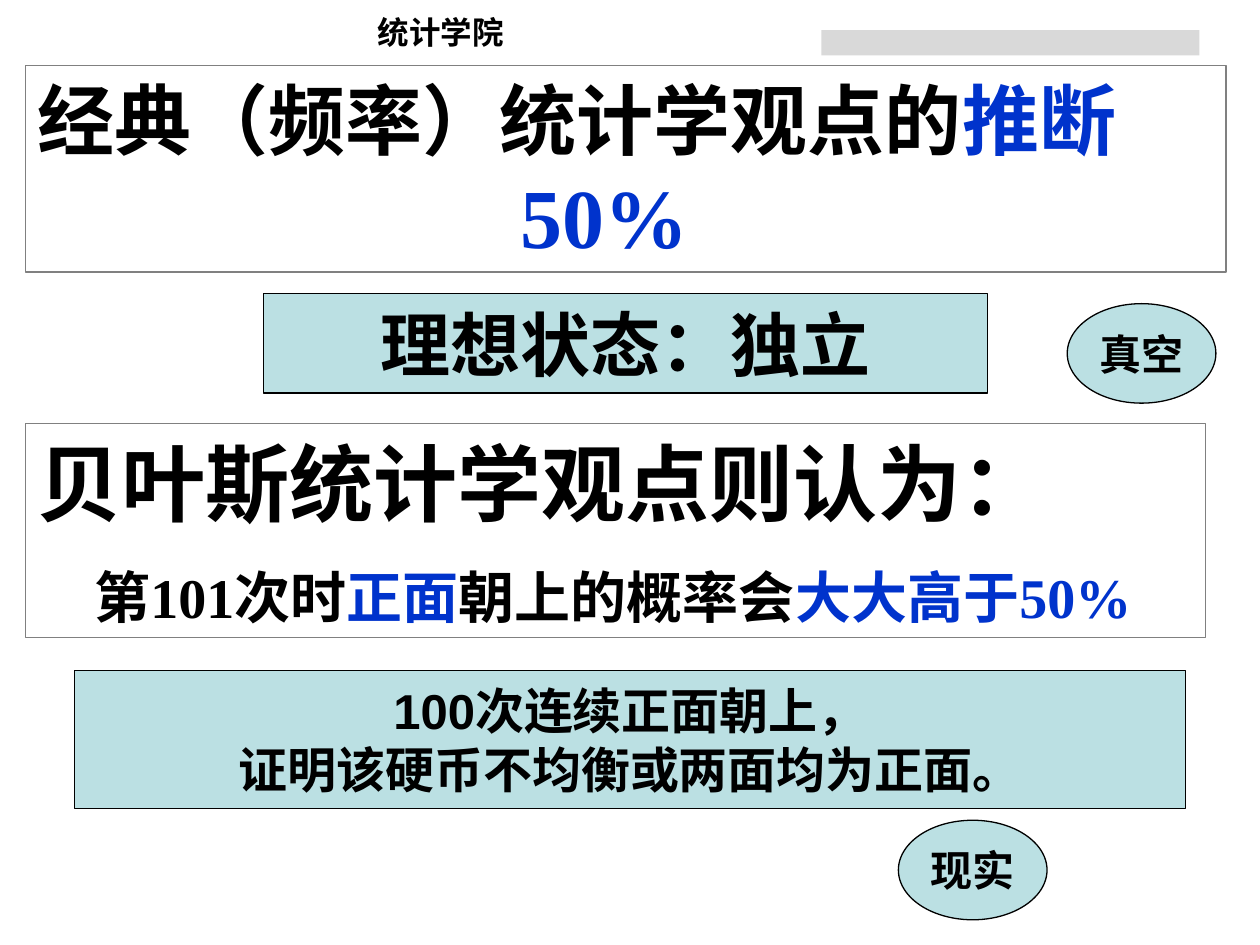
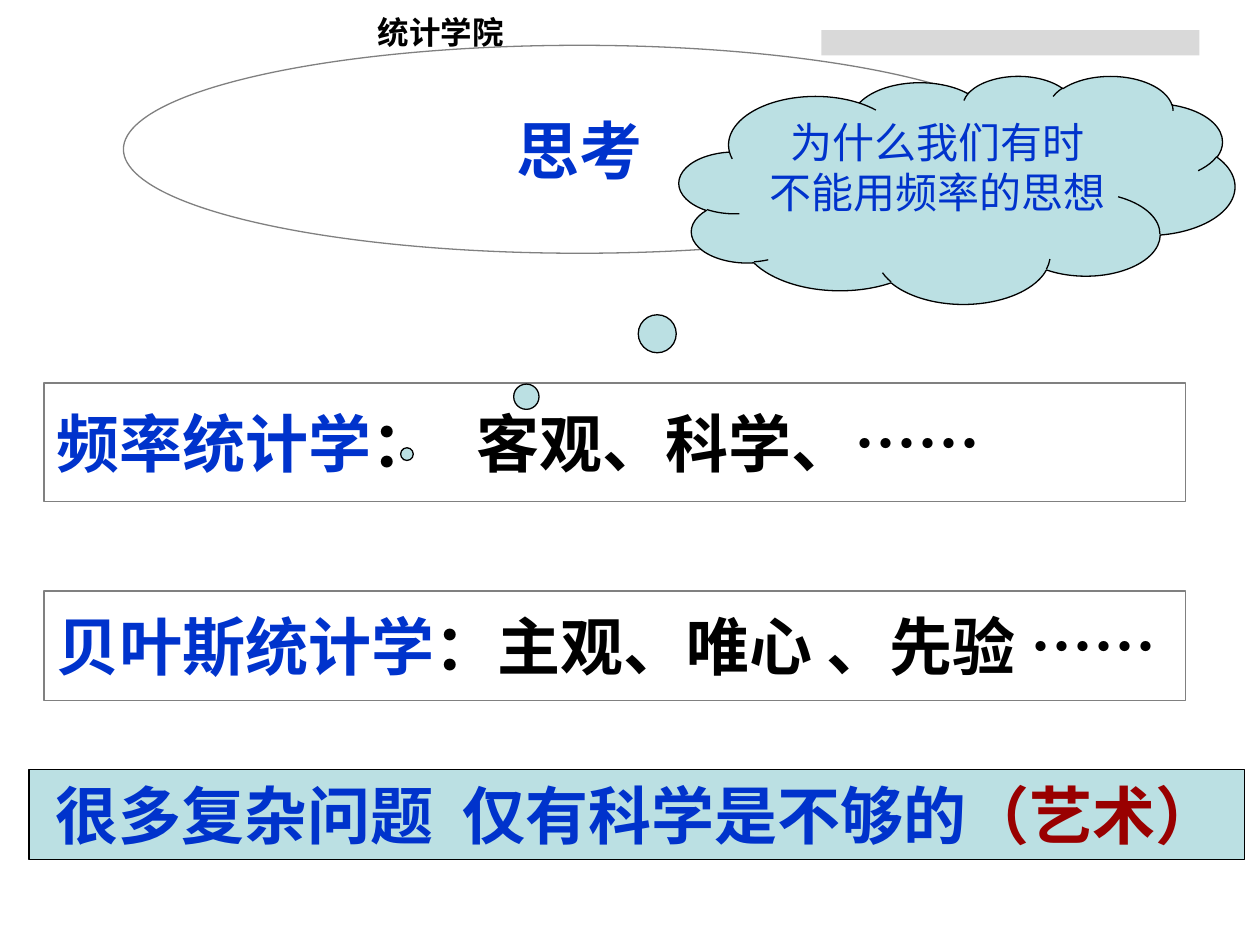
from lxml import etree
from pptx import Presentation
from pptx.dml.color import RGBColor
from pptx.enum.shapes import MSO_SHAPE
from pptx.enum.text import MSO_ANCHOR, PP_ALIGN
from pptx.oxml.ns import qn
from pptx.util import Inches, Pt

RECT = MSO_SHAPE.RECTANGLE
OVAL = MSO_SHAPE.OVAL
CLOUD = MSO_SHAPE.CLOUD_CALLOUT
LEFT, CENTER = PP_ALIGN.LEFT, PP_ALIGN.CENTER
TOP, MIDDLE = MSO_ANCHOR.TOP, MSO_ANCHOR.MIDDLE

COLORS = {
    "ink": "000000",
    "accent": "0033CC",
    "art": "990000",
    "panel": "BBE0E3",
    "frame": "808080",
    "band": "D9D9D9",
}
SANS, SERIF, CJK = "Arial", "Times New Roman", "Noto Sans CJK SC"


def color(key):
    return RGBColor.from_string(COLORS[key])


def add_tab_stop(paragraph, position):
    properties = paragraph._p.get_or_add_pPr()
    stops = etree.SubElement(properties, qn("a:tabLst"))
    etree.SubElement(stops, qn("a:tab"), pos=str(Inches(position)), algn="l")


def write_line(paragraph, parts, size, font=SANS, bold=True, align=LEFT,
               indent=0, before=0, tab=None):
    paragraph.alignment = align
    if indent:
        paragraph._p.get_or_add_pPr().set("marL", str(Inches(indent)))
    if before:
        paragraph.space_before = Pt(before)
    if tab:
        add_tab_stop(paragraph, tab)
    for text, color_key in parts:
        run = paragraph.add_run()
        run.text = text
        run.font.size = Pt(size)
        run.font.bold = bold
        run.font.name = font
        run.font.color.rgb = color(color_key)
        etree.SubElement(run._r.get_or_add_rPr(), qn("a:ea"), typeface=CJK)


def write_lines(shape, lines, align=LEFT, anchor=MIDDLE, inset=0.1):
    frame = shape.text_frame
    frame.word_wrap = align == LEFT
    frame.vertical_anchor = anchor
    frame.margin_left = Inches(inset)
    for index, line in enumerate(lines):
        paragraph = frame.add_paragraph() if index else frame.paragraphs[0]
        write_line(paragraph, align=align, **line)


def add_box(slide, kind, place, lines, filled=False, **layout):
    box = slide.shapes.add_shape(kind, *map(Inches, place))
    box.shadow.inherit = False
    if filled:
        box.fill.solid()
        box.fill.fore_color.rgb = color("panel")
    else:
        box.fill.background()
    box.line.color.rgb = color("ink" if filled else "frame")
    box.line.width = Pt(0.75)
    write_lines(box, lines, **layout)
    return box


def add_panel(slide, kind, place, texts, size, color_key="ink", bold=True, **layout):
    lines = [dict(parts=[(text, color_key)], size=size, bold=bold) for text in texts]
    return add_box(slide, kind, place, lines, filled=True, align=CENTER, **layout)


def add_header(slide):
    band = slide.shapes.add_shape(RECT, *map(Inches, (6.52, 0.24, 3.0, 0.2)))
    band.shadow.inherit = False
    band.fill.solid()
    band.fill.fore_color.rgb = color("band")
    band.line.fill.background()

    school = slide.shapes.add_textbox(*map(Inches, (2.75, 0.07, 1.5, 0.36)))
    write_lines(school, [dict(parts=[("统计学院", "ink")], size=18)], align=CENTER)


def new_slide(deck):
    slide = deck.slides.add_slide(deck.slide_layouts[6])
    add_header(slide)
    return slide


def build_viewpoints(deck):
    slide = new_slide(deck)
    add_box(slide, RECT, (0.2, 0.52, 9.53, 1.64), [
        dict(parts=[("经典（频率）统计学观点的", "ink"), ("推断", "accent")],
             size=44, font=SERIF),
        dict(parts=[("50%", "accent")], size=48, font=SERIF, indent=3.83),
    ])
    add_box(slide, RECT, (0.2, 3.36, 9.37, 1.7), [
        dict(parts=[("贝叶斯统计学观点则认为：", "ink")], size=48, font=SERIF),
        dict(parts=[("第101次时", "ink"), ("正面", "accent"),
                    ("朝上的概率会", "ink"), ("大大高于50%", "accent")],
             size=32, font=SERIF, indent=0.45, before=17),
    ])
    add_panel(slide, RECT, (0.59, 5.32, 8.82, 1.1),
              ["100次连续正面朝上，", "证明该硬币不均衡或两面均为正面。"], 28)
    add_panel(slide, RECT, (2.09, 2.33, 5.75, 0.79), ["理想状态：独立"], 40)
    for label, left, top in (("真空", 8.47, 2.41), ("现实", 7.13, 6.51)):
        add_panel(slide, OVAL, (left, top, 1.18, 0.79), [label], 24)


def build_reflection(deck):
    slide = new_slide(deck)
    add_box(slide, OVAL, (0.98, 0.36, 7.24, 1.65),
            [dict(parts=[("思考", "accent")], size=36)], align=CENTER)
    schools = (
        ("频率统计学", "：\t客观、科学、……", 3.04, 0.94),
        ("贝叶斯统计学", "：主观、唯心 、先验 ……", 4.69, 0.87),
    )
    for name, traits, top, height in schools:
        add_box(slide, RECT, (0.35, top, 9.06, height), [
            dict(parts=[(name, "accent"), (traits, "ink")], size=36, tab=3.33)])
    question = add_panel(slide, CLOUD, (5.39, 0.6, 4.41, 1.81),
                         ["为什么我们有时", "不能用频率的思想"], 24,
                         color_key="accent", bold=False, anchor=TOP)
    question.adjustments[0] = -0.99
    question.adjustments[1] = 1.16
    add_box(slide, RECT, (0.23, 6.11, 9.65, 0.71), [
        dict(parts=[("很多复杂问题\t仅有科学是不够的", "accent"), ("（艺术）", "art")],
             size=36, font=CJK, tab=3.23)], filled=True, inset=0.21)


def main():
    deck = Presentation()
    deck.slide_width = Inches(10)
    deck.slide_height = Inches(7.5)
    build_viewpoints(deck)
    build_reflection(deck)
    deck.save("out.pptx")


if __name__ == "__main__":
    main()
